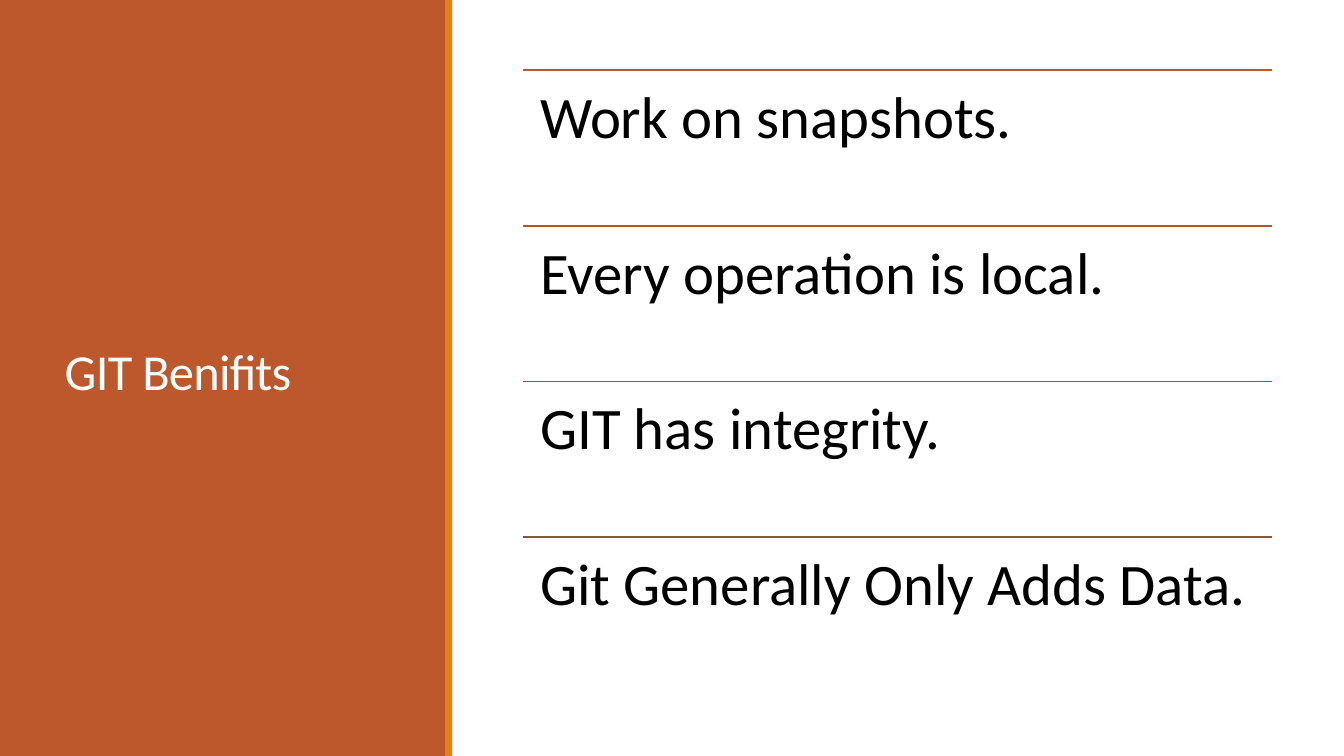
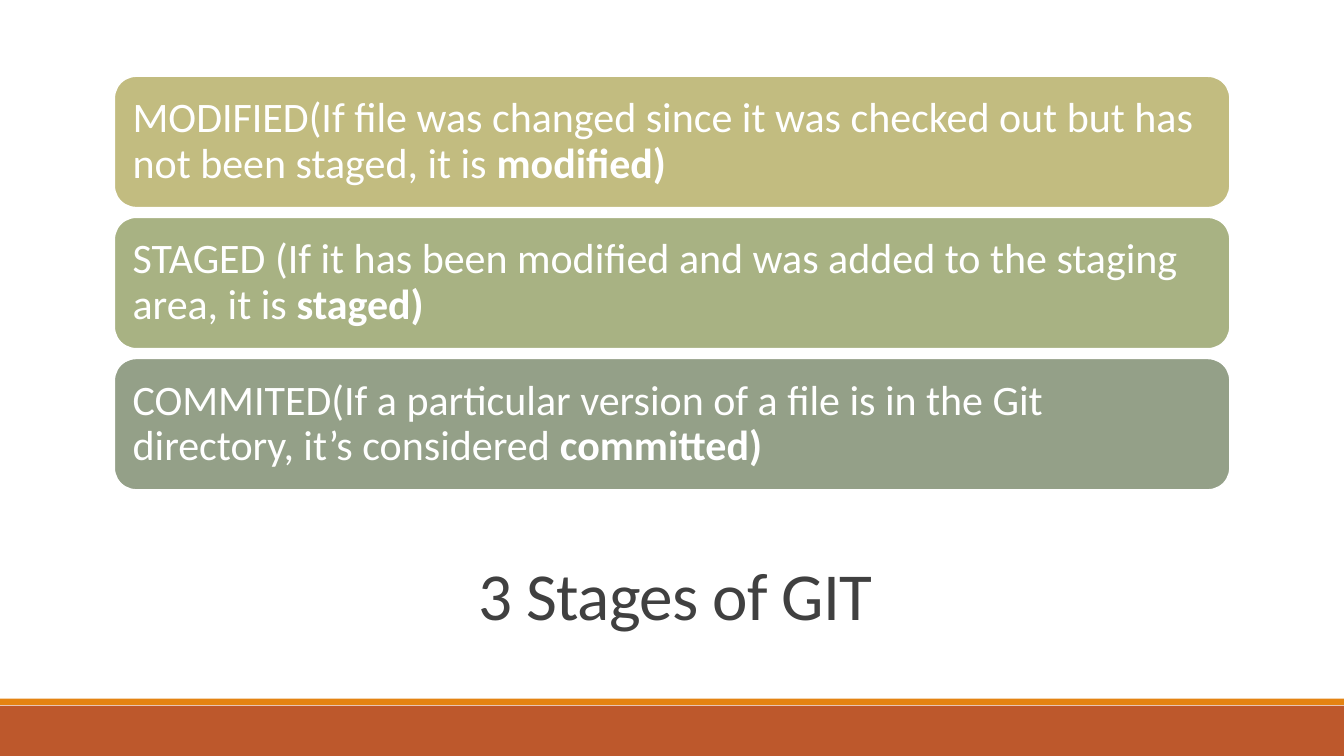
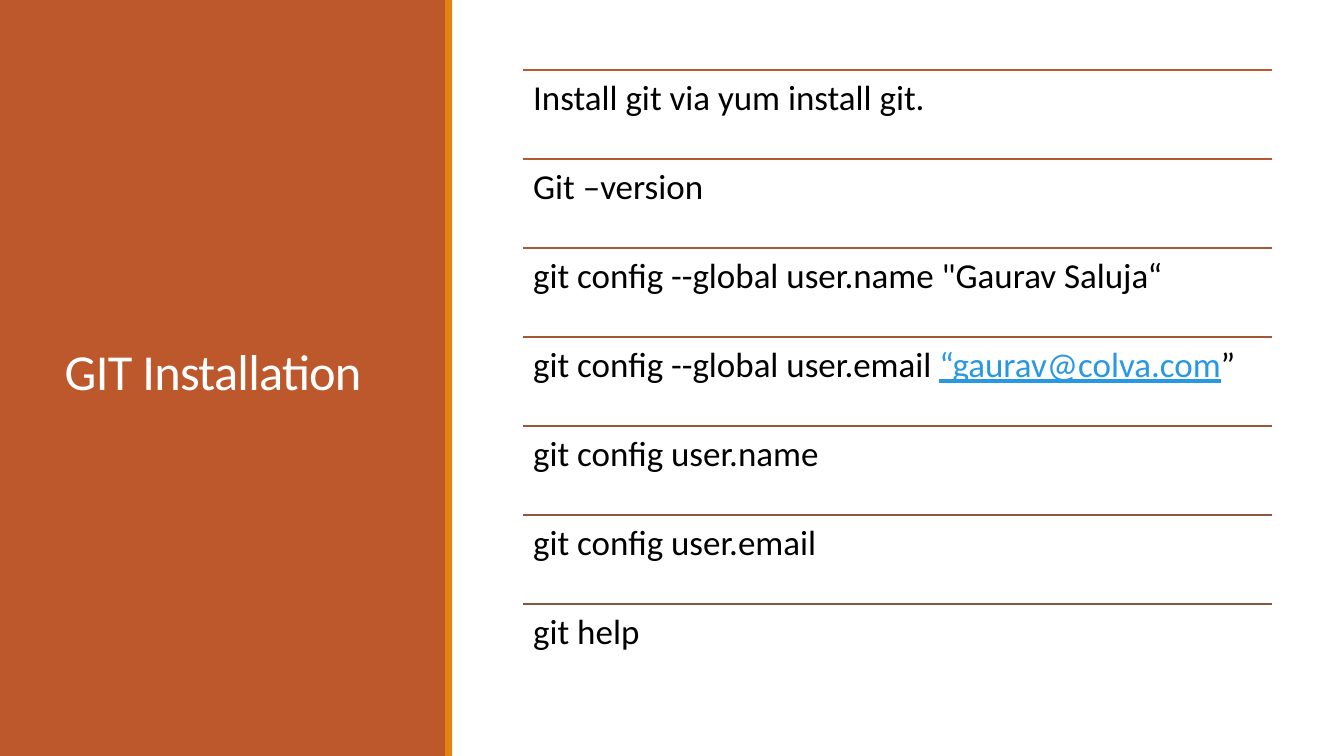
from dataclasses import dataclass

from lxml import etree
from pptx import Presentation
from pptx.dml.color import RGBColor
from pptx.enum.shapes import MSO_CONNECTOR, MSO_SHAPE
from pptx.enum.text import MSO_ANCHOR, MSO_AUTO_SIZE, PP_ALIGN
from pptx.oxml.ns import qn
from pptx.util import Pt

RECT = MSO_SHAPE.RECTANGLE
ROUND = MSO_SHAPE.ROUNDED_RECTANGLE
STRAIGHT = MSO_CONNECTOR.STRAIGHT
TOP = MSO_ANCHOR.TOP
MIDDLE = MSO_ANCHOR.MIDDLE
LEFT = PP_ALIGN.LEFT
CENTER = PP_ALIGN.CENTER
NO_FIT = MSO_AUTO_SIZE.NONE

FONT = "Calibri"
WHITE, BLACK, GRAY = "FFFFFF", "000000", "404040"
RUST, AMBER, BLUE = "BD582C", "E48312", "2998E3"
WIDE, HIGH = 960, 540


@dataclass(frozen=True)
class Box:
    left: float
    top: float
    width: float
    height: float


@dataclass(frozen=True)
class Run:
    text: str
    color: str = ""
    bold: bool = False
    under: bool = False


@dataclass(frozen=True)
class Item:
    color: str
    runs: tuple[Run, ...]


PANEL = Box(0, 0, 319, HIGH)
PANEL_EDGE = Box(318, 0, 5, HIGH)
BAND = Box(0, 504, WIDE, 36)
BAND_EDGE = Box(0, 499, WIDE, 4.6)
SIDE_TITLE = Box(39, 41, 243, 454)
BASE_TITLE = Box(86.4, 381.6, 792, 93.6)
LIST = Box(373.5, 50.2, 535, 444.6)
CARD = Box(81.6, 54.4, 797, 94)
CARD_STEP = 100.8

GAINS = (
    Item(RUST, (Run("Work on snapshots."),)),
    Item("AA5834", (Run("Every operation is local."),)),
    Item("97573A", (Run("GIT has integrity."),)),
    Item("865640", (Run("Git Generally Only Adds Data."),)),
)
STAGES = (
    Item("C2BC80", (
        Run("MODIFIED(If file was changed since it was checked out "
            "but has not been staged, it is "),
        Run("modified)", bold=True))),
    Item("A8B283", (
        Run("STAGED (If it has been modified and was added "
            "to the staging area, it is "),
        Run("staged)", bold=True))),
    Item("94A088", (
        Run("COMMITED(If a particular version of a file is in the "
            "Git directory, it’s considered "),
        Run("committed)", bold=True))),
)
STEPS = (
    Item(RUST, (Run("Install git via yum install git."),)),
    Item("B35830", (Run("Git –version"),)),
    Item("AA5834", (Run('git config --global user.name "Gaurav Saluja“'),)),
    Item("A05837", (
        Run("git config --global user.email "),
        Run("“gaurav@colva.com", color=BLUE, under=True),
        Run("”"))),
    Item("97573A", (Run("git config user.name"),)),
    Item("8F573D", (Run("git config user.email"),)),
    Item("865640", (Run("git help"),)),
)


def paint(target, color: str) -> None:
    target.solid()
    target.fore_color.rgb = RGBColor.from_string(color)


def place(box: Box) -> tuple:
    return Pt(box.left), Pt(box.top), Pt(box.width), Pt(box.height)


def write(shape, runs: tuple[Run, ...], size: float, color: str,
          anchor=TOP, align=LEFT, inset: float = 0,
          pitch: float = 0.9, track: int = 0) -> None:
    frame = shape.text_frame
    frame.word_wrap = True
    frame.auto_size = NO_FIT
    frame.vertical_anchor = anchor
    if inset:
        frame.margin_left = frame.margin_right = Pt(inset)
        frame.margin_top = frame.margin_bottom = Pt(inset)
    para = frame.paragraphs[0]
    para.alignment = align
    para.line_spacing = pitch
    for part in runs:
        run = para.add_run()
        run.text = part.text
        font = run.font
        font.name, font.size = FONT, Pt(size)
        font.bold, font.underline = part.bold, part.under
        paint(font.fill, part.color or color)
        if track:
            run.font._element.set("spc", str(track))


def add_block(slide, box: Box, color: str, kind=RECT):
    shape = slide.shapes.add_shape(kind, *place(box))
    shape.shadow.inherit = False
    paint(shape.fill, color)
    shape.line.fill.background()
    return shape


def add_rule(slide, left: float, top: float, width: float, color: str) -> None:
    rule = slide.shapes.add_connector(
        STRAIGHT, Pt(left), Pt(top), Pt(left + width), Pt(top))
    paint(rule.line.fill, color)
    rule.line.width = Pt(1.25)
    etree.SubElement(rule.element.spPr, qn("a:effectLst"))


def set_title(slide, text: str, box: Box, size: float, color: str,
              align=LEFT) -> None:
    title = slide.shapes.title
    title.left, title.top, title.width, title.height = place(box)
    write(title, (Run(text),), size, color, MIDDLE, align,
          pitch=0.85, track=-50)
    slide.shapes.element.append(title.element)


def add_slide(deck, fill: Box, edge: Box):
    slide = deck.slides.add_slide(deck.slide_layouts[5])
    add_block(slide, fill, RUST)
    add_block(slide, edge, AMBER)
    return slide


def list_slide(deck, title: str, items: tuple[Item, ...],
               size: float, inset: float) -> None:
    slide = add_slide(deck, PANEL, PANEL_EDGE)
    set_title(slide, title, SIDE_TITLE, 36, WHITE)
    step = LIST.height / len(items)
    for i, item in enumerate(items):
        row = Box(LIST.left, LIST.top + i * step, LIST.width, step)
        add_rule(slide, row.left, row.top, row.width, item.color)
        label = slide.shapes.add_textbox(*place(row))
        write(label, item.runs, size, BLACK, inset=inset)


def card_slide(deck, title: str, items: tuple[Item, ...]) -> None:
    slide = add_slide(deck, BAND, BAND_EDGE)
    set_title(slide, title, BASE_TITLE, 48, GRAY, CENTER)
    for i, item in enumerate(items):
        box = Box(CARD.left, CARD.top + i * CARD_STEP, CARD.width, CARD.height)
        card = add_block(slide, box, item.color, ROUND)
        paint(card.line.fill, WHITE)
        card.line.width = Pt(1.25)
        write(card, item.runs, 30, WHITE, MIDDLE, inset=8.6)


def main() -> None:
    deck = Presentation()
    deck.slide_width, deck.slide_height = Pt(WIDE), Pt(HIGH)
    list_slide(deck, "GIT Benifits", GAINS, 42, 12.4)
    card_slide(deck, "3 Stages of GIT", STAGES)
    list_slide(deck, "GIT Installation", STEPS, 25, 7.4)
    deck.save("out.pptx")


if __name__ == "__main__":
    main()
